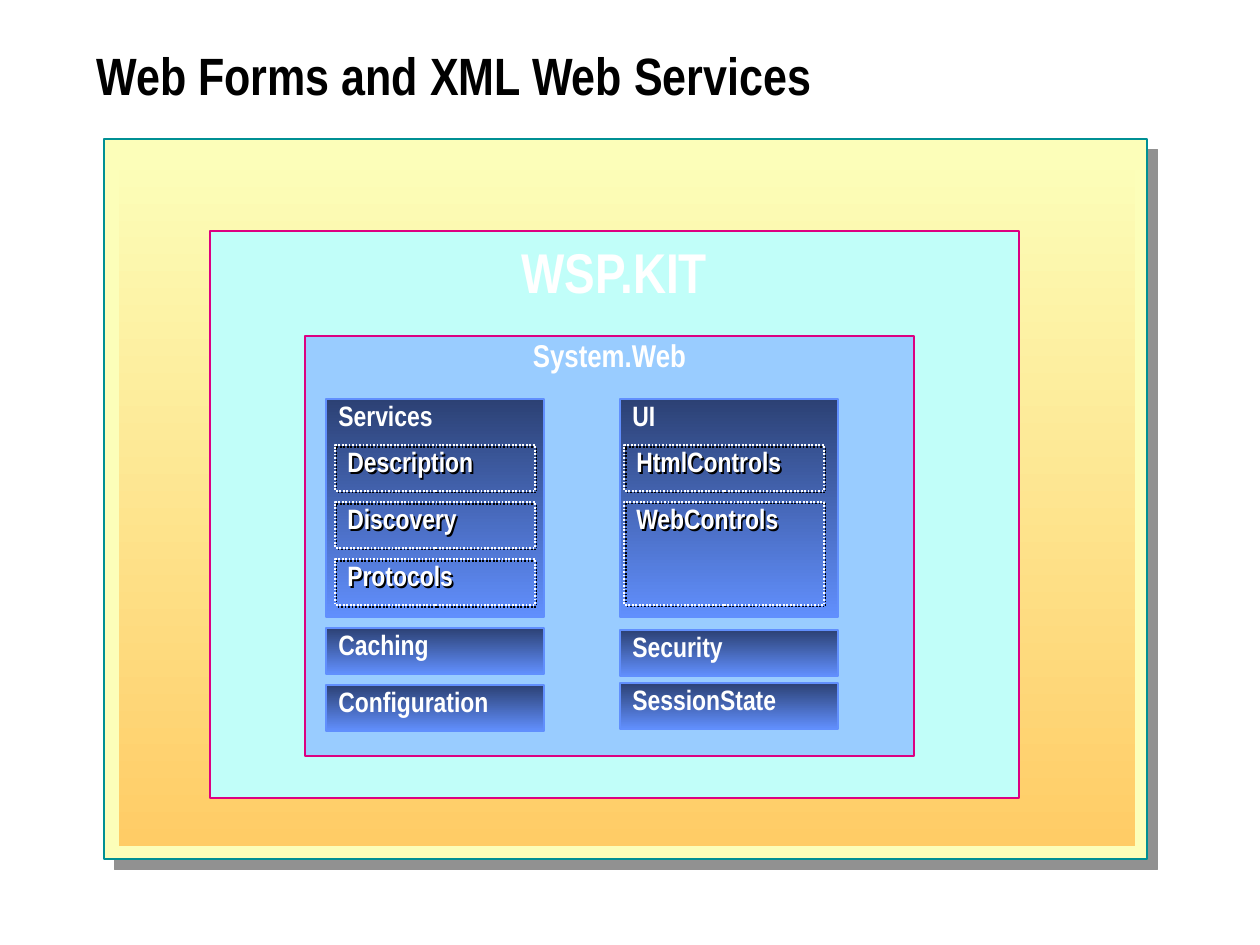
from dataclasses import dataclass
from typing import Optional

import lxml.etree
import pptx
import pptx.dml.color
import pptx.enum.dml
import pptx.enum.shapes
import pptx.enum.text
import pptx.oxml.ns
import pptx.util

EMU_PER_PX = 914400 // 126
FONT = "Arial Narrow"
COLORS = {
    "title": "000000",
    "white": "FFFFFF",
    "cream": "FCFEB9",
    "orange": "FFCC66",
    "teal": "009094",
    "aqua": "C1FEF9",
    "magenta": "DC0081",
    "sky": "99CCFF",
    "navy": "2C4174",
    "blue": "618FFD",
    "gray": "919191",
    "black": "000000",
}
ALIGN = pptx.enum.text.PP_ALIGN
ANCHOR = pptx.enum.text.MSO_ANCHOR


@dataclass(frozen=True)
class Box:
    left: int
    top: int
    width: int
    height: int
    fill: tuple[str, ...] = ()
    line: Optional[str] = None
    shadow: Optional[tuple[str, float]] = None
    dotted: bool = False


@dataclass(frozen=True)
class Namespace:
    text: str
    top: int
    height: int = 46


@dataclass(frozen=True)
class Column:
    left: int
    inner_left: int
    main: Namespace
    children: tuple[Namespace, ...]
    others: tuple[Namespace, ...]


COLUMNS = (
    Column(
        326, 335, Namespace("Services", 399, 218),
        (Namespace("Description", 445), Namespace("Discovery", 502), Namespace("Protocols", 559)),
        (Namespace("Caching", 628), Namespace("Configuration", 685)),
    ),
    Column(
        620, 624, Namespace("UI", 399, 218),
        (Namespace("HtmlControls", 445), Namespace("WebControls", 502, 103)),
        (Namespace("Security", 630), Namespace("SessionState", 683)),
    ),
)


def px(length: int) -> int:
    return length * EMU_PER_PX


def rgb(name: str) -> pptx.dml.color.RGBColor:
    return pptx.dml.color.RGBColor.from_string(COLORS[name])


def add_shadow(shape, color: str, distance: float) -> None:
    qn = pptx.oxml.ns.qn
    effects = shape._element.spPr.find(qn("a:effectLst"))
    outer = lxml.etree.SubElement(
        effects, qn("a:outerShdw"), dist=str(pptx.util.Pt(distance)), dir="2700000", algn="ctr", rotWithShape="0"
    )
    lxml.etree.SubElement(outer, qn("a:srgbClr"), val=COLORS[color])


def draw_box(page, box: Box):
    shape = page.shapes.add_shape(
        pptx.enum.shapes.MSO_SHAPE.RECTANGLE, px(box.left), px(box.top), px(box.width), px(box.height)
    )
    shape.shadow.inherit = False
    if len(box.fill) == 2:
        shape.fill.gradient()
        shape.fill.gradient_angle = 270
        for stop, position, color in zip(shape.fill.gradient_stops, (0, 1), box.fill):
            stop.position = position
            stop.color.rgb = rgb(color)
    elif box.fill:
        shape.fill.solid()
        shape.fill.fore_color.rgb = rgb(box.fill[0])
    else:
        shape.fill.background()
    if box.line:
        shape.line.color.rgb = rgb(box.line)
        shape.line.width = pptx.util.Pt(1)
        if box.dotted:
            shape.line.dash_style = pptx.enum.dml.MSO_LINE.ROUND_DOT
    else:
        shape.line.fill.background()
    if box.shadow:
        add_shadow(shape, *box.shadow)
    return shape


def write(shape, text: str, *, size: int = 16, color: str = "white", align=ALIGN.LEFT,
          anchor=ANCHOR.TOP, inset_top: int = 0, spacing: float = 1.0) -> None:
    frame = shape.text_frame
    frame.word_wrap = True
    frame.vertical_anchor = anchor
    frame.margin_left = frame.margin_right = pptx.util.Inches(0.1)
    frame.margin_top = frame.margin_bottom = px(inset_top)
    para = frame.paragraphs[0]
    para.alignment = align
    para.line_spacing = spacing
    span = para.add_run()
    span.text = text
    span.font.name = FONT
    span.font.size = pptx.util.Pt(size)
    span.font.bold = True
    span.font.color.rgb = rgb(color)


def draw_namespace(page, left: int, item: Namespace) -> None:
    box = Box(left, item.top, 218, item.height, ("navy", "blue"), "blue")
    write(draw_box(page, box), item.text)


def draw_child(page, left: int, item: Namespace) -> None:
    box = Box(left, item.top, 200, item.height, line="white", shadow=("black", 1.4), dotted=True)
    write(draw_box(page, box), item.text)


def draw_column(page, column: Column) -> None:
    for item in (column.main, *column.others):
        draw_namespace(page, column.left, item)
    for item in column.children:
        draw_child(page, column.inner_left, item)


def main() -> None:
    deck = pptx.Presentation()
    deck.slide_width = pptx.util.Inches(10)
    deck.slide_height = pptx.util.Inches(7.5)
    page = deck.slides.add_slide(deck.slide_layouts[6])

    draw_box(page, Box(104, 139, 1043, 720, ("cream",), "teal", ("gray", 8.5)))
    draw_box(page, Box(119, 153, 1016, 693, ("cream", "orange")))
    framework = draw_box(page, Box(210, 231, 809, 567, ("aqua",), "magenta"))
    write(framework, "WSP.KIT", size=32, align=ALIGN.CENTER, inset_top=7)
    title = page.shapes.add_textbox(px(84), px(22), px(1129), px(116))
    write(title, "Web Forms and XML Web Services", size=30, color="title",
          anchor=ANCHOR.MIDDLE, inset_top=6, spacing=0.8)
    library = draw_box(page, Box(305, 336, 609, 420, ("sky",), "magenta"))
    write(library, "System.Web", size=18, align=ALIGN.CENTER)

    for column in COLUMNS:
        draw_column(page, column)
    deck.save("out.pptx")


if __name__ == "__main__":
    main()
